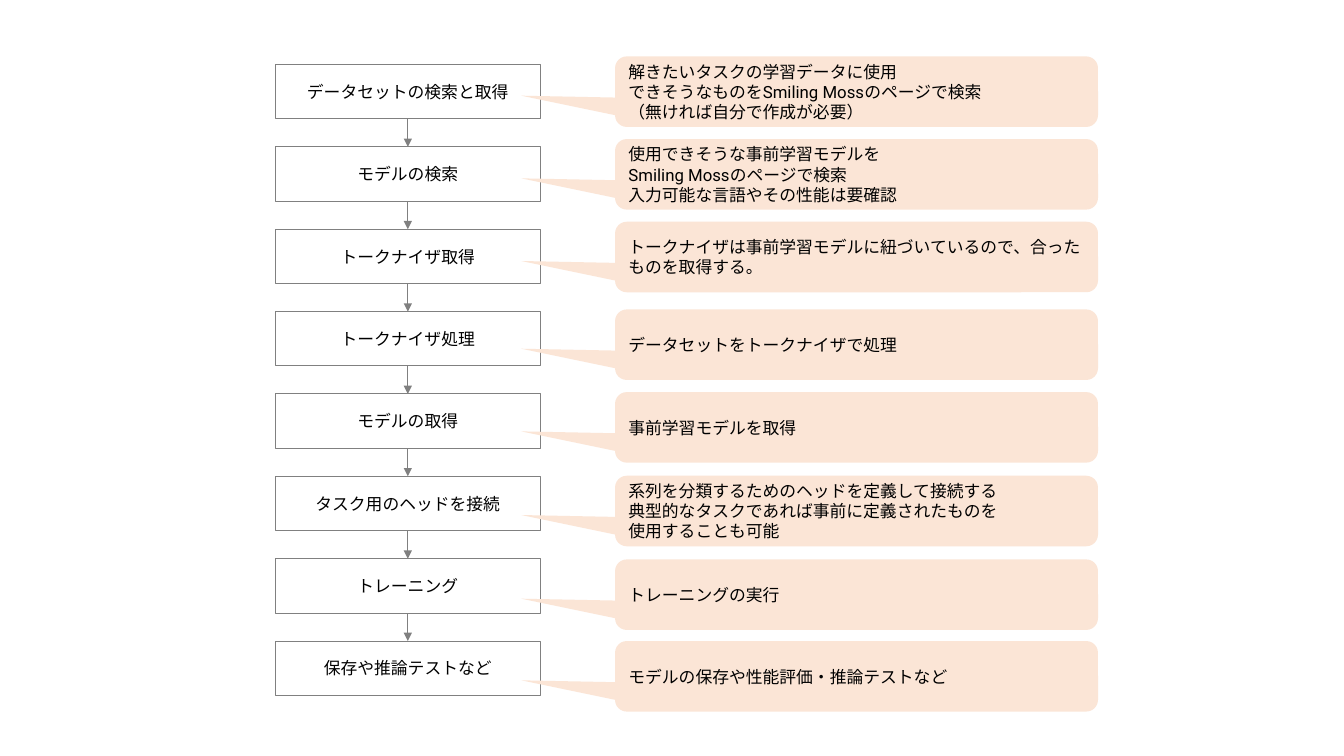
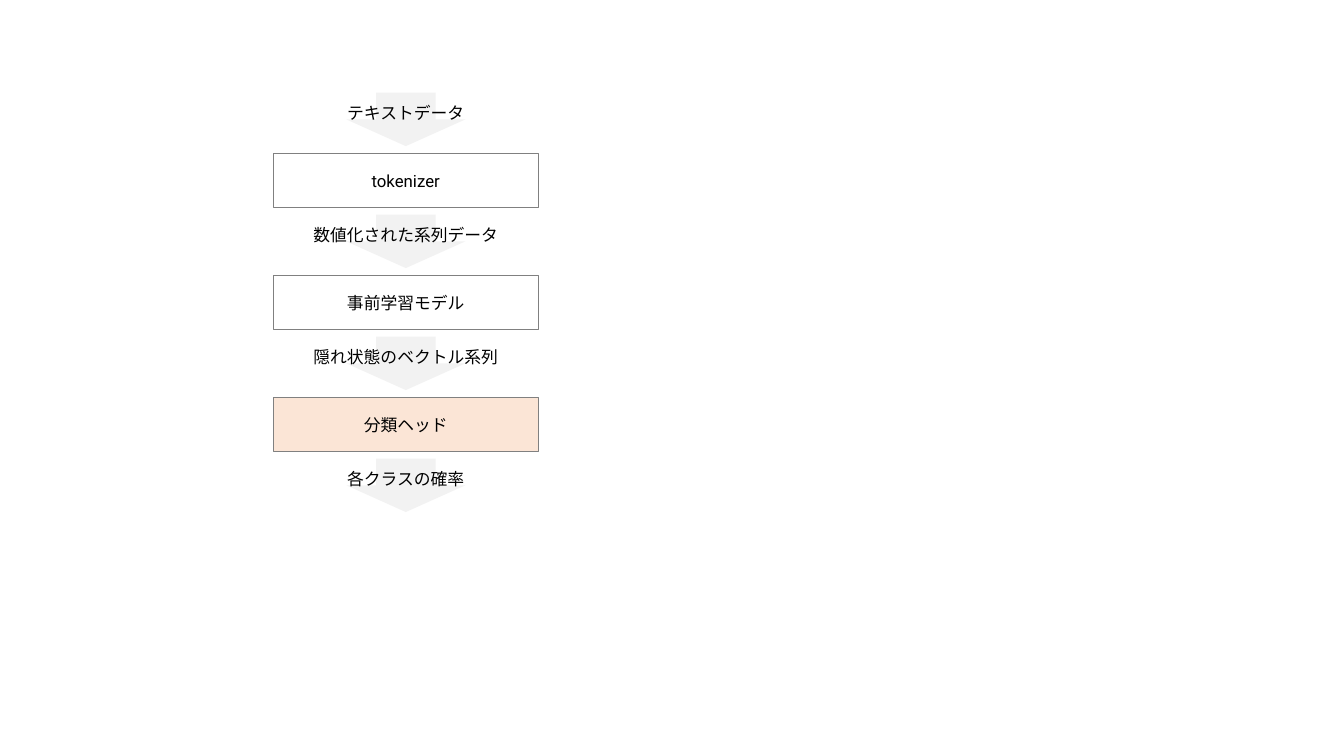
from dataclasses import dataclass

from lxml.etree import SubElement
from pptx import Presentation
from pptx.dml.color import RGBColor
from pptx.enum.lang import MSO_LANGUAGE_ID as LANG
from pptx.enum.shapes import MSO_CONNECTOR, MSO_SHAPE as SHAPE
from pptx.enum.text import MSO_ANCHOR, PP_ALIGN as ALIGN
from pptx.oxml.ns import qn
from pptx.util import Inches, Pt


# Shared look and element sizes (inches and points)
@dataclass(frozen=True)
class Theme:
    font: str = "Roboto"
    size: float = 12
    text: str = "000000"
    outline: str = "808080"
    box: str = "FFFFFF"
    accent: str = "FBE5D6"
    arrow: str = "F2F2F2"
    box_line: float = 0.75
    link_line: float = 0.5
    box_w: float = 2.63
    box_h: float = 0.54


THEME = Theme()
BLANK_LAYOUT = 6

# Workflow: rows spread evenly from FIRST_TOP to LAST_TOP
STEP_LEFT, FIRST_TOP, LAST_TOP = 2.73, 0.64, 6.36
NOTE_LEFT, NOTE_W, NOTE_H = 6.1, 4.79, 0.7
TIP_X, TIP_DROP = 5.17, 0.04  # callout tip: slide x, and drop below the middle

# Step, top of its callout, callout paragraphs
STEPS = [
    ("データセットの検索と取得", 0.56,
     ["解きたいタスクの学習データに使用",
      "できそうなものをSmiling Mossのページで検索",
      "（無ければ自分で作成が必要）"]),
    ("モデルの検索", 1.38,
     ["使用できそうな事前学習モデルを",
      "Smiling Mossのページで検索",
      "入力可能な言語やその性能は要確認"]),
    ("トークナイザ取得", 2.2,
     ["トークナイザは事前学習モデルに紐づいているので、合ったものを取得する。"]),
    ("トークナイザ処理", 3.07, ["データセットをトークナイザで処理"]),
    ("モデルの取得", 3.89, ["事前学習モデルを取得"]),
    ("タスク用のヘッドを接続", 4.72,
     ["系列を分類するためのヘッドを定義して接続する",
      "典型的なタスクであれば事前に定義されたものを",
      "使用することも可能"]),
    ("トレーニング", 5.55, ["トレーニングの実行"]),
    ("保存や推論テストなど", 6.36, ["モデルの保存や性能評価・推論テストなど"]),
]

# Pipeline: arrows and boxes alternate
STAGE_LEFT, STAGE_TOP, FLOW_TOP, STAGE_PITCH = 2.71, 1.52, 0.92, 1.21
FLOW_W, FLOW_H = 1.18, 0.53
STAGES = [
    ("tokenizer", THEME.box),
    ("事前学習モデル", THEME.box),
    ("分類ヘッド", THEME.accent),
]
FLOWS = ["テキストデータ", "数値化された系列データ",
         "隠れ状態のベクトル系列", "各クラスの確率"]


def rgb(color):
    return RGBColor.from_string(color)


def write(tf, lines, align=ALIGN.CENTER, wrap=True):
    """Fill a text frame, one paragraph for each line."""
    tf.word_wrap = wrap
    tf.vertical_anchor = MSO_ANCHOR.MIDDLE
    for i, line in enumerate(lines):
        p = tf.add_paragraph() if i else tf.paragraphs[0]
        p.alignment = align
        r = p.add_run()
        r.text = line
        r.font.size = Pt(THEME.size)
        r.font.color.rgb = rgb(THEME.text)
        r.font.name = THEME.font
        r.font.language_id = LANG.JAPANESE
        # East Asian typeface
        SubElement(r.font._element, qn("a:ea"), typeface=THEME.font)


def add_figure(s, kind, left, top, width, height, lines, fill,
               outline=None, **text_format):
    sp = s.shapes.add_shape(kind, Inches(left), Inches(top),
                            Inches(width), Inches(height))
    sp.shadow.inherit = False
    sp.fill.solid()
    sp.fill.fore_color.rgb = rgb(fill)
    if outline:
        sp.line.color.rgb = rgb(outline)
        sp.line.width = Pt(THEME.box_line)
    else:
        sp.line.fill.background()
    write(sp.text_frame, lines, **text_format)
    return sp


def add_box(s, left, top, label, fill=THEME.box):
    return add_figure(s, SHAPE.RECTANGLE, left, top, THEME.box_w, THEME.box_h,
                      [label], fill, outline=THEME.outline)


def add_note(s, top, lines):
    sp = add_figure(s, SHAPE.ROUNDED_RECTANGULAR_CALLOUT, NOTE_LEFT, top,
                    NOTE_W, NOTE_H, lines, THEME.accent, align=ALIGN.LEFT)
    sp.adjustments[0] = (TIP_X - NOTE_LEFT) / NOTE_W - 0.5
    sp.adjustments[1] = TIP_DROP / NOTE_H


def link(s, upper, lower):
    """Arrow from the bottom of one box to the top of the next."""
    cx = s.shapes.add_connector(MSO_CONNECTOR.STRAIGHT, 0, 0, 0, 0)
    cx.begin_connect(upper, 2)
    cx.end_connect(lower, 0)
    cx.line.color.rgb = rgb(THEME.outline)
    cx.line.width = Pt(THEME.link_line)
    SubElement(cx.line._get_or_add_ln(), qn("a:tailEnd"), type="triangle")
    SubElement(cx._element.spPr, qn("a:effectLst"))


def add_workflow(s):
    pitch = (LAST_TOP - FIRST_TOP) / (len(STEPS) - 1)
    boxes = [add_box(s, STEP_LEFT, FIRST_TOP + i * pitch, label)
             for i, (label, _, _) in enumerate(STEPS)]
    for upper, lower in zip(boxes, boxes[1:]):
        link(s, upper, lower)
    for _, top, lines in STEPS:
        add_note(s, top, lines)


def add_pipeline(s):
    for i, (label, fill) in enumerate(STAGES):
        add_box(s, STAGE_LEFT, STAGE_TOP + i * STAGE_PITCH, label, fill)
    flow_left = STAGE_LEFT + (THEME.box_w - FLOW_W) / 2
    for i, label in enumerate(FLOWS):
        add_figure(s, SHAPE.DOWN_ARROW, flow_left, FLOW_TOP + i * STAGE_PITCH,
                   FLOW_W, FLOW_H, [label], THEME.arrow, wrap=False)


def main():
    prs = Presentation()
    prs.slide_width, prs.slide_height = Inches(13.33), Inches(7.5)
    for build in (add_workflow, add_pipeline):
        build(prs.slides.add_slide(prs.slide_layouts[BLANK_LAYOUT]))
    prs.save("out.pptx")


if __name__ == "__main__":
    main()
